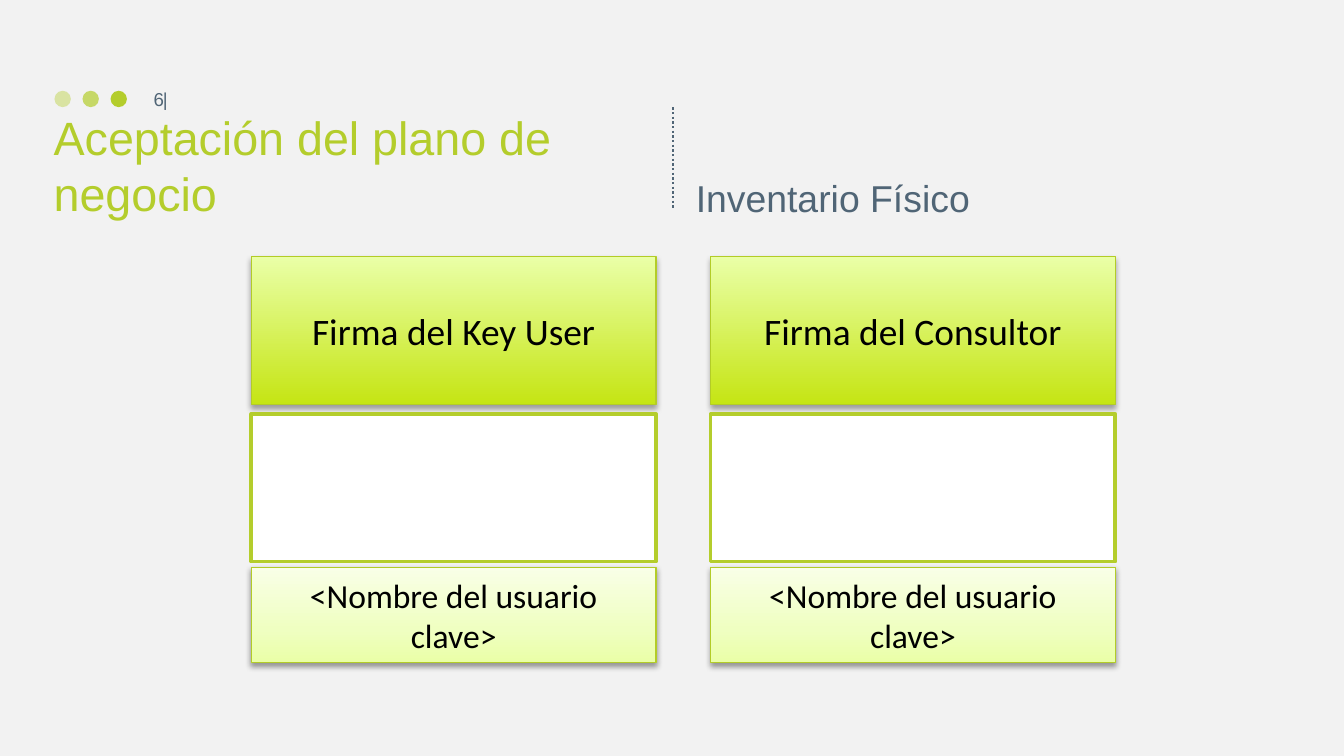
from dataclasses import dataclass

from lxml import etree
from pptx import Presentation
from pptx.dml.color import RGBColor
from pptx.enum.dml import MSO_LINE
from pptx.enum.shapes import MSO_CONNECTOR, MSO_SHAPE
from pptx.enum.text import MSO_ANCHOR, MSO_AUTO_SIZE, PP_ALIGN
from pptx.oxml.ns import qn
from pptx.util import Cm, Pt

RECTANGLE, OVAL = MSO_SHAPE.RECTANGLE, MSO_SHAPE.OVAL
STRAIGHT = MSO_CONNECTOR.STRAIGHT
DOTTED = MSO_LINE.ROUND_DOT
LEFT, CENTER, RIGHT = PP_ALIGN.LEFT, PP_ALIGN.CENTER, PP_ALIGN.RIGHT
MIDDLE, BOTTOM = MSO_ANCHOR.MIDDLE, MSO_ANCHOR.BOTTOM
NO_AUTOSIZE = MSO_AUTO_SIZE.NONE
TITLE_ONLY = 5


@dataclass(frozen=True)
class Theme:
    background: str = "F2F2F2"
    green: str = "B4CD2C"
    edge: str = "B3CC27"
    slate: str = "506576"
    black: str = "000000"
    white: str = "FFFFFF"
    strong: tuple = ((0, "C5E514"), (100, "EAFFA7"))
    pale: tuple = ((0, "EAFFA7"), (35, "EFFFC1"), (100, "F9FFE7"))
    heading_font: str = "Arial"
    card_font: str = "Calibri"
    title_size: int = 25
    label_size: int = 20
    name_size: int = 18
    number_size: int = 10


THEME = Theme()


def color(value):
    return RGBColor.from_string(value)


def add_node(parent, tag, **attributes):
    return etree.SubElement(parent, qn(tag), attributes)


def set_text(shape, text, font, size, ink, align=LEFT, anchor=MIDDLE):
    frame = shape.text_frame
    frame.text = text
    frame.word_wrap = True
    frame.auto_size = NO_AUTOSIZE
    frame.vertical_anchor = anchor
    para = frame.paragraphs[0]
    para.alignment = align
    para.font.name = font
    para.font.size = Pt(size)
    para.font.color.rgb = color(ink)
    return frame


def add_text(page, box, *style, **layout):
    shape = page.shapes.add_textbox(*map(Cm, box))
    return set_text(shape, *style, **layout)


def add_panel(page, kind, box, fill, line=None, width=0.75):
    shape = page.shapes.add_shape(kind, *map(Cm, box))
    shape.shadow.inherit = False
    shape.fill.solid()
    shape.fill.fore_color.rgb = color(fill)
    if line:
        shape.line.color.rgb = color(line)
        shape.line.width = Pt(width)
    else:
        shape.line.fill.background()
    return shape


def add_card(page, box, stops, text, size, opacity, distance):
    """Gradient box with a soft shadow and centred text."""
    card = add_panel(page, RECTANGLE, box, THEME.white, THEME.edge)
    card.fill.gradient()
    card.fill.gradient_angle = 90
    properties = card._element.spPr
    stop_list = properties.find(qn("a:gradFill")).find(qn("a:gsLst"))
    for old_stop in list(stop_list):
        stop_list.remove(old_stop)
    for position, value in stops:
        stop = add_node(stop_list, "a:gs", pos=str(position * 1000))
        add_node(stop, "a:srgbClr", val=value)
    shadow = add_node(properties.find(qn("a:effectLst")), "a:outerShdw",
                      blurRad=str(Pt(3.1)), dist=str(Pt(distance)),
                      dir="5400000", rotWithShape="0")
    ink = add_node(shadow, "a:srgbClr", val=THEME.black)
    add_node(ink, "a:alpha", val=str(opacity * 1000))
    set_text(card, text, THEME.card_font, size, THEME.black, CENTER)


def add_page_marker(page, box, number):
    """Three dots of growing strength, then the page number and a bar."""
    left, top, width, height = box
    dot, pitch = 0.31, 0.53
    for index, opacity in enumerate((40, 70, 100)):
        dot_box = (left + index * pitch, top + (height - dot) / 2, dot, dot)
        shape = add_panel(page, OVAL, dot_box, THEME.green)
        if opacity < 100:
            ink = shape._element.spPr.find(qn("a:solidFill"))[0]
            add_node(ink, "a:alpha", val=str(opacity * 1000))
    style = THEME.heading_font, THEME.number_size, THEME.slate
    right = left + width
    add_text(page, (right - 1.17, top, 1.17, height), number, *style,
             align=RIGHT)
    bar = add_text(page, (right - 0.3, top, 0.15, height), "|", *style,
                   align=CENTER)
    bar.margin_left = bar.margin_right = 0
    bar.word_wrap = False


def add_header(page, box, title, subtitle):
    """Title on the left, dotted divider, subtitle on the right."""
    left, top, width, height = box
    title_width, subtitle_width = 11.66, 11.23
    holder = page.shapes.title
    holder.left, holder.top = Cm(left), Cm(top)
    holder.width, holder.height = Cm(title_width), Cm(height)
    set_text(holder, title, THEME.heading_font, THEME.title_size,
             THEME.green, anchor=BOTTOM)

    subtitle_left = left + width - subtitle_width
    add_text(page, (subtitle_left, top, subtitle_width, height), subtitle,
             THEME.heading_font, THEME.label_size, THEME.slate, anchor=BOTTOM)

    divider_x = Cm(subtitle_left - 0.18)
    divider = page.shapes.add_connector(
        STRAIGHT, divider_x, Cm(top + 0.13), divider_x, Cm(top + 2.04))
    divider.line.color.rgb = color(THEME.slate)
    divider.line.width = Pt(1.25)
    divider.line.dash_style = DOTTED
    add_node(divider._element.spPr, "a:effectLst")


def add_signature(page, box, label, name):
    """Label, blank signing area and name, one above the other."""
    left, top, width, height = box
    row, name_height = 2.79, 1.8
    add_card(page, (left, top, width, row), THEME.strong, label,
             THEME.label_size, opacity=35, distance=1.8)
    add_panel(page, RECTANGLE, (left, top + 2.97, width, row),
              THEME.white, THEME.green, 2)
    add_card(page, (left, top + height - name_height, width, name_height),
             THEME.pale, name, THEME.name_size, opacity=38, distance=1.6)


def main():
    deck = Presentation()
    deck.slide_width, deck.slide_height = Cm(25.4), Cm(14.28)
    page = deck.slides.add_slide(deck.slide_layouts[TITLE_ONLY])
    page.background.fill.solid()
    page.background.fill.fore_color.rgb = color(THEME.background)

    add_header(page, (0.76, 1.9, 23.37, 2.39),
               "Aceptación del plano de negocio", "Inventario Físico")
    add_page_marker(page, (1.03, 1.47, 2.32, 0.8), "6")

    labels = "Firma del Key User", "Firma del Consultor"
    for index, label in enumerate(labels):
        add_signature(page, (4.75 + index * 8.68, 4.85, 7.65, 7.67),
                      label, "<Nombre del usuario clave>")
    deck.save("out.pptx")


if __name__ == "__main__":
    main()
